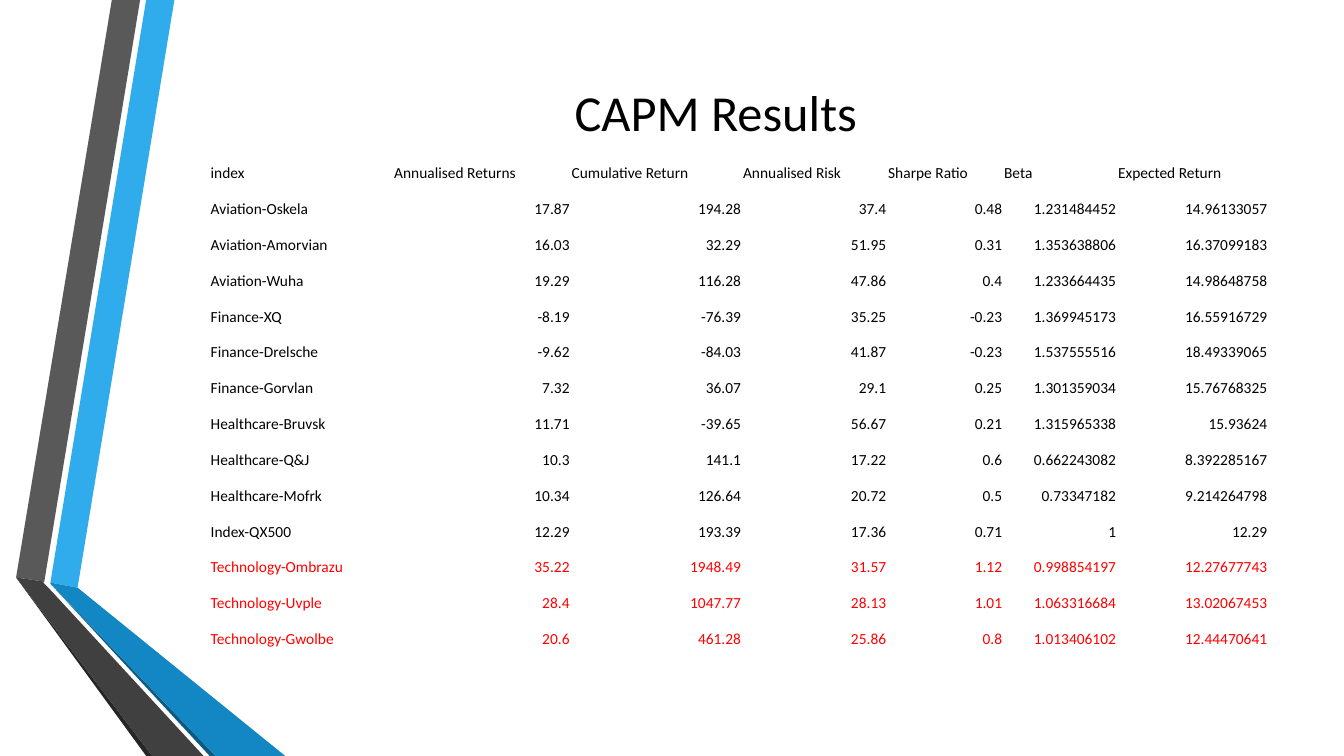
from pptx import Presentation
from pptx.dml.color import RGBColor
from pptx.enum.text import MSO_ANCHOR, PP_ALIGN
from pptx.util import Pt

PX = 9144
FONT = "Calibri"
LEFT, CENTER, RIGHT = PP_ALIGN.LEFT, PP_ALIGN.CENTER, PP_ALIGN.RIGHT
MIDDLE, BOTTOM = MSO_ANCHOR.MIDDLE, MSO_ANCHOR.BOTTOM

BLACK = RGBColor(0x00, 0x00, 0x00)
RED = RGBColor(0xFF, 0x00, 0x00)
BLUE = RGBColor(0x30, 0xAC, 0xEC)
BLUE_FOLD = RGBColor(0x12, 0x87, 0xC3)
BLUE_EDGE = RGBColor(0x0C, 0x5A, 0x82)
GREY = RGBColor(0x59, 0x59, 0x59)
GREY_FOLD = RGBColor(0x40, 0x40, 0x40)
GREY_EDGE = RGBColor(0x26, 0x26, 0x26)

RIBBONS = [
    (BLUE, [(34, 578), (61, 583), (157, 0), (129, 0)]),
    (GREY, [(123, 0), (95, 0), (0, 573), (28, 577)]),
    (GREY_EDGE, [(0, 573), (129, 750), (135, 750)]),
    (BLUE_EDGE, [(34, 579), (192, 750), (198, 750)]),
    (BLUE_FOLD, [(34, 579), (198, 750), (267, 750), (61, 583), (34, 578)]),
    (GREY_FOLD, [(186, 750), (32, 583), (27, 578), (28, 577), (0, 573), (135, 750)]),
]

COLUMN_WIDTHS = [182, 176, 170, 144, 115, 113, 150]
HEADERS = ["index", "Annualised Returns", "Cumulative Return", "Annualised Risk",
           "Sharpe Ratio", "Beta", "Expected Return"]
RESULTS = [
    ["Aviation-Oskela", "17.87", "194.28", "37.4", "0.48", "1.231484452", "14.96133057"],
    ["Aviation-Amorvian", "16.03", "32.29", "51.95", "0.31", "1.353638806", "16.37099183"],
    ["Aviation-Wuha", "19.29", "116.28", "47.86", "0.4", "1.233664435", "14.98648758"],
    ["Finance-XQ", "-8.19", "-76.39", "35.25", "-0.23", "1.369945173", "16.55916729"],
    ["Finance-Drelsche", "-9.62", "-84.03", "41.87", "-0.23", "1.537555516", "18.49339065"],
    ["Finance-Gorvlan", "7.32", "36.07", "29.1", "0.25", "1.301359034", "15.76768325"],
    ["Healthcare-Bruvsk", "11.71", "-39.65", "56.67", "0.21", "1.315965338", "15.93624"],
    ["Healthcare-Q&J", "10.3", "141.1", "17.22", "0.6", "0.662243082", "8.392285167"],
    ["Healthcare-Mofrk", "10.34", "126.64", "20.72", "0.5", "0.73347182", "9.214264798"],
    ["Index-QX500", "12.29", "193.39", "17.36", "0.71", "1", "12.29"],
    ["Technology-Ombrazu", "35.22", "1948.49", "31.57", "1.12", "0.998854197", "12.27677743"],
    ["Technology-Uvple", "28.4", "1047.77", "28.13", "1.01", "1.063316684", "13.02067453"],
    ["Technology-Gwolbe", "20.6", "461.28", "25.86", "0.8", "1.013406102", "12.44470641"],
]


def write_text(text_frame, text, size=11, color=BLACK, align=LEFT):
    """Write one formatted line into a text frame."""
    paragraph = text_frame.paragraphs[0]
    paragraph.alignment = align
    run = paragraph.add_run()
    run.text = text
    run.font.name = FONT
    run.font.size = Pt(size)
    run.font.bold = False
    run.font.color.rgb = color


def add_ribbons(slide, left, top):
    """Draw the folded ribbons from the given corner."""
    for color, points in RIBBONS:
        builder = slide.shapes.build_freeform(*points[0], scale=PX)
        builder.add_line_segments(points[1:], close=True)
        shape = builder.convert_to_shape(left * PX, top * PX)
        shape.shadow.inherit = False
        shape.fill.solid()
        shape.fill.fore_color.rgb = color
        shape.line.fill.background()


def add_title(slide, left, top, width, height):
    """Place the centred heading in its box."""
    box = slide.shapes.add_textbox(left * PX, top * PX, width * PX, height * PX)
    box.text_frame.word_wrap = True
    box.text_frame.vertical_anchor = MIDDLE
    write_text(box.text_frame, "CAPM Results", size=36, align=CENTER)


def add_results_table(slide, left, top, width, height):
    """Place the results with the technology rows in red."""
    rows = [HEADERS] + RESULTS
    table = slide.shapes.add_table(len(rows), len(HEADERS), left * PX, top * PX,
                                   width * PX, height * PX).table
    table.first_row = False
    table.horz_banding = False
    for column, column_width in zip(table.columns, COLUMN_WIDTHS):
        column.width = column_width * PX
    for row_index, values in enumerate(rows):
        table.rows[row_index].height = height * PX // len(rows)
        color = RED if values[0].startswith("Technology") else BLACK
        for column_index, value in enumerate(values):
            cell = table.cell(row_index, column_index)
            cell.fill.background()
            cell.vertical_anchor = BOTTOM
            cell.margin_left = cell.margin_right = cell.margin_top = PX
            cell.margin_bottom = 0
            align = RIGHT if row_index and column_index else LEFT
            write_text(cell.text_frame, value, color=color, align=align)


def main():
    """Build and save the slide."""
    presentation = Presentation()
    presentation.slide_width = 1333 * PX
    presentation.slide_height = 750 * PX
    slide = presentation.slides.add_slide(presentation.slide_layouts[6])
    add_ribbons(slide, 16, 0)
    add_title(slide, 162, 75, 1096, 71)
    add_results_table(slide, 208, 146, 1050, 498)
    presentation.save("out.pptx")


if __name__ == "__main__":
    main()
